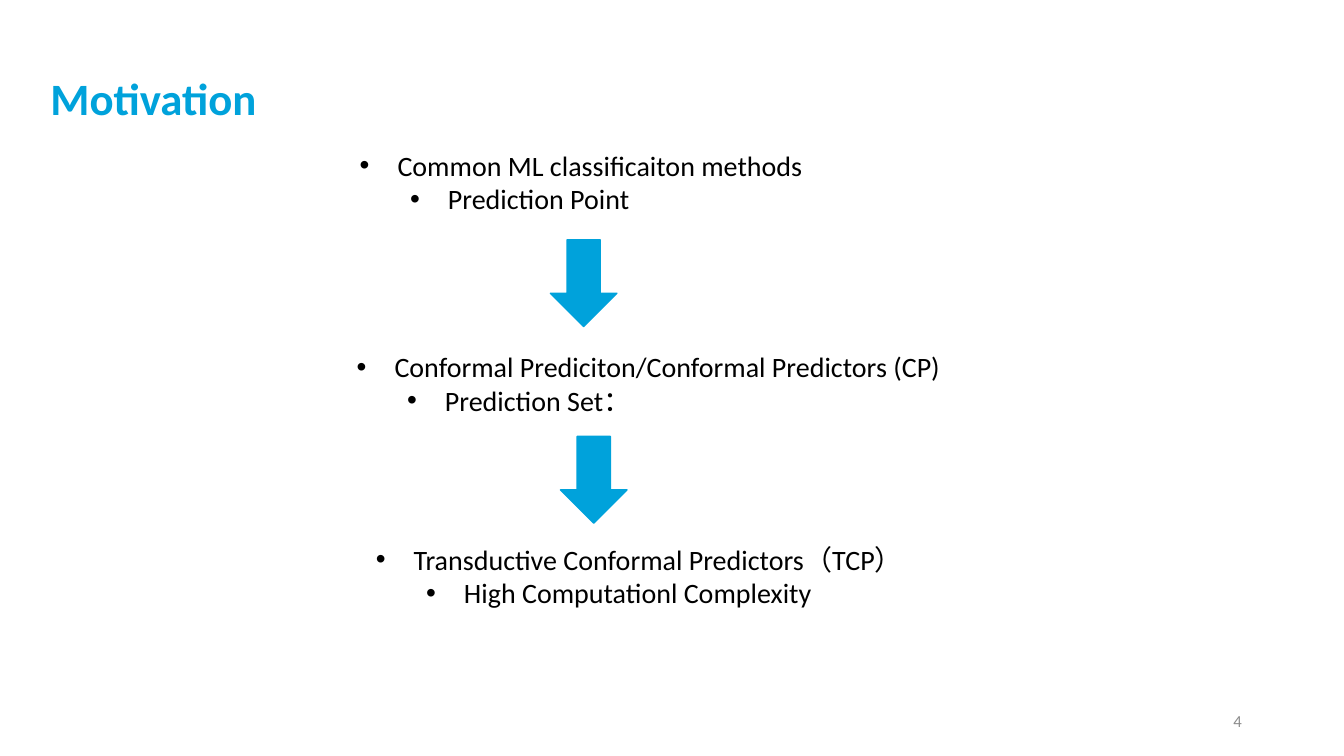
"""Build the Motivation slide: three bulleted steps joined by arrows."""
from dataclasses import dataclass

from pptx import Presentation
from pptx import util as u
from pptx.dml.color import RGBColor
from pptx.enum import shapes, text
from pptx.oxml import xmlchemy
from pptx.oxml.ns import qn

FONT = "Calibri"
BLUE = "00A2DB"
BLACK = "000000"
GRAY = "8C8C8C"
ARROW_LENGTH = 61.92
ARROW_THICKNESS = 47.52
STEP_HEIGHT = 55.44
BULLET_HANG = 27
LEVEL_INDENT = 36


@dataclass
class Step:
    left: float
    top: float
    width: float
    heading: str
    detail: str


@dataclass
class Arrow:
    left: float
    top: float


STEPS = [
    Step(249.84, 102.24, 368.64, "Common ML classificaiton methods", "Prediction Point"),
    Step(247.68, 246.24, 474.48, "Conformal Prediciton/Conformal Predictors (CP)", "Prediction Set："),
    Step(261.36, 383.76, 429.12, "Transductive Conformal Predictors（TCP）", "High Computationl Complexity"),
]
ARROWS = [Arrow(385.92, 178.56), Arrow(393.12, 318.96)]


def color(value: str) -> RGBColor:
    return RGBColor.from_string(value)


def add_frame(slide, left: float, top: float, width: float, height: float):
    box = slide.shapes.add_textbox(u.Pt(left), u.Pt(top), u.Pt(width), u.Pt(height))
    box.text_frame.word_wrap = True
    return box.text_frame


def add_run(paragraph, content: str, size: float, fill: str, bold: bool = False) -> None:
    run = paragraph.add_run()
    run.text = content
    run.font.name = FONT
    run.font.size = u.Pt(size)
    run.font.bold = bold
    run.font.color.rgb = color(fill)


def add_bullet(paragraph, level: int) -> None:
    paragraph.level = level
    properties = paragraph._p.get_or_add_pPr()
    properties.set("marL", str(u.Pt(BULLET_HANG + LEVEL_INDENT * level)))
    properties.set("indent", str(-u.Pt(BULLET_HANG)))
    font = xmlchemy.OxmlElement("a:buFont")
    font.set("typeface", "Arial")
    bullet = xmlchemy.OxmlElement("a:buChar")
    bullet.set("char", "•")
    properties.extend([font, bullet])


def add_step(slide, step: Step) -> None:
    frame = add_frame(slide, step.left, step.top, step.width, STEP_HEIGHT)
    for level, content in enumerate((step.heading, step.detail)):
        paragraph = frame.add_paragraph() if level else frame.paragraphs[0]
        add_bullet(paragraph, level)
        add_run(paragraph, content, 20, BLACK)


def add_arrow(slide, arrow: Arrow) -> None:
    shape = slide.shapes.add_shape(
        shapes.MSO_SHAPE.RIGHT_ARROW,
        u.Pt(arrow.left), u.Pt(arrow.top), u.Pt(ARROW_LENGTH), u.Pt(ARROW_THICKNESS),
    )
    shape.rotation = 90
    shape.shadow.inherit = False
    shape.fill.solid()
    shape.fill.fore_color.rgb = color(BLUE)
    shape.line.color.rgb = color(BLUE)
    shape.line.width = u.Pt(1)


def add_title(slide, content: str) -> None:
    frame = add_frame(slide, 0, 20.16, 960, 104.4)
    frame.margin_left = u.Pt(36)
    frame.vertical_anchor = text.MSO_ANCHOR.MIDDLE
    paragraph = frame.paragraphs[0]
    paragraph.line_spacing = 0.9
    add_run(paragraph, content, 32, BLUE, bold=True)


def add_page_number(slide, number: str) -> None:
    frame = add_frame(slide, 678.24, 500.4, 216, 28.8)
    frame.vertical_anchor = text.MSO_ANCHOR.MIDDLE
    paragraph = frame.paragraphs[0]
    paragraph.alignment = text.PP_ALIGN.RIGHT
    add_run(paragraph, number, 12, GRAY)


def main() -> None:
    presentation = Presentation()
    presentation.slide_width = u.Pt(960)
    presentation.slide_height = u.Pt(540)
    slide = presentation.slides.add_slide(presentation.slide_layouts[6])
    add_page_number(slide, "4")
    add_title(slide, "Motivation")
    for step in STEPS:
        add_step(slide, step)
    for arrow in ARROWS:
        add_arrow(slide, arrow)
    presentation.save("out.pptx")


if __name__ == "__main__":
    main()
